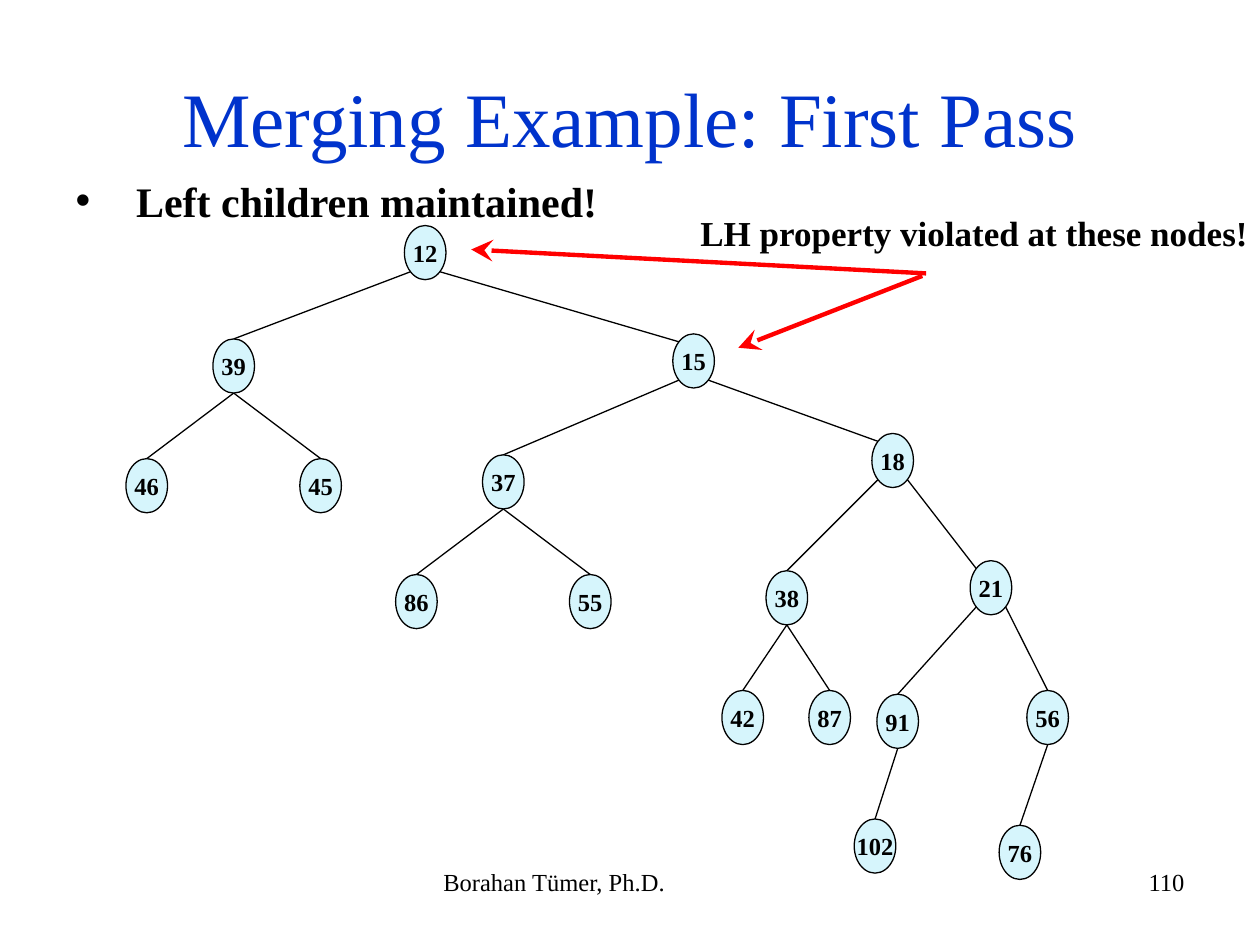
import dataclasses

import lxml.etree
import pptx
import pptx.dml.color
import pptx.enum.shapes
import pptx.enum.text
import pptx.oxml.ns
import pptx.util

UNIT = 9144  # EMU per px, 100 px to the inch
WIDE, TALL = 33, 43  # size of a tree node
ALIGN = pptx.enum.text.PP_ALIGN
NONE = pptx.enum.text.MSO_AUTO_SIZE.NONE
MIDDLE = pptx.enum.text.MSO_ANCHOR.MIDDLE
SLANT = 0.5 ** 0.5

# Places on an ellipse, in radii from its centre
PORTS = {
    "top": (0, -1),
    "base": (0, 1),
    "upper left": (-SLANT, -SLANT),
    "lower left": (-SLANT, SLANT),
    "lower right": (SLANT, SLANT),
}

NODES = {
    12: (321, 179), 39: (169, 269), 46: (100, 364), 45: (238, 364),
    15: (534, 265), 37: (383, 361), 86: (314, 456), 55: (452, 456),
    18: (692, 344), 38: (608, 453), 42: (573, 548), 87: (642, 548),
    21: (770, 445), 91: (696, 551), 102: (678, 650),
    56: (815, 548), 76: (793, 655),
}
SPINE = [12, 15, 18, 21, 56]
LEFT = [(12, 39), (15, 37), (18, 38), (21, 91)]
LOWER = [(39, 46), (39, 45), (37, 86), (37, 55), (38, 42), (38, 87),
         (91, 102), (56, 76)]


@dataclasses.dataclass(frozen=True)
class Theme:
    font: str = "Times New Roman"
    ink: str = "000000"
    head: str = "0033CC"
    node: str = "D6F5FC"
    alert: str = "FF0000"
    title: int = 44
    body: int = 24
    label: int = 20
    small: int = 14
    thin: float = 0.75
    thick: float = 2.5


def px(*nums):
    return [round(num * UNIT) for num in nums]


def rgb(code):
    return pptx.dml.color.RGBColor.from_string(code)


def add(parent, tag, **attrs):
    """Append a DrawingML element with the given attributes."""
    return lxml.etree.SubElement(parent, pptx.oxml.ns.qn(tag), **attrs)


class Board:
    """Draws elements on one slide in one style."""

    def __init__(self, slide, theme):
        self.slide = slide
        self.theme = theme

    def letter(self, shape, text, size, color=None, bold=False,
               align=ALIGN.LEFT, wrap=True):
        """Put one styled paragraph into a shape."""
        frame = shape.text_frame
        frame.word_wrap = wrap
        frame.auto_size = NONE
        para = frame.paragraphs[0]
        para.text = text
        para.alignment = align
        para.space_before = pptx.util.Pt(0)
        font = para.font
        font.name = self.theme.font
        font.size = pptx.util.Pt(size)
        font.bold = bold
        font.color.rgb = rgb(color or self.theme.ink)

    def place(self, shape, box):
        shape.left, shape.top, shape.width, shape.height = px(*box)

    def title(self, text, box):
        shape = self.slide.shapes.title
        self.place(shape, box)
        self.letter(shape, text, self.theme.title, self.theme.head,
                    align=ALIGN.CENTER)
        shape.text_frame.vertical_anchor = MIDDLE

    def bullet(self, text, box, indent):
        shape = self.slide.placeholders[1]
        self.place(shape, box)
        step = px(indent)[0]
        props = shape.text_frame.paragraphs[0]._p.get_or_add_pPr()
        props.set("marL", str(step))
        props.set("indent", str(-step))
        add(add(props, "a:buClr"), "a:srgbClr", val=self.theme.ink)
        add(props, "a:buChar", char="•")
        self.letter(shape, text, self.theme.body, bold=True)

    def text(self, text, box, size, **style):
        shape = self.slide.shapes.add_textbox(*px(*box))
        self.letter(shape, text, size, **style)

    def node(self, key, spot):
        kind = pptx.enum.shapes.MSO_SHAPE.OVAL
        shape = self.slide.shapes.add_shape(kind, *px(*spot, WIDE, TALL))
        shape.shadow.inherit = False
        shape.fill.solid()
        shape.fill.fore_color.rgb = rgb(self.theme.node)
        shape.line.color.rgb = rgb(self.theme.ink)
        shape.line.width = pptx.util.Pt(self.theme.thin)
        self.letter(shape, str(key), self.theme.small, bold=True,
                    align=ALIGN.CENTER, wrap=False)
        shape.text_frame.vertical_anchor = MIDDLE

    def line(self, start, end, color, width):
        kind = pptx.enum.shapes.MSO_CONNECTOR.STRAIGHT
        line = self.slide.shapes.add_connector(kind, *px(*start, *end))
        line.line.color.rgb = rgb(color)
        line.line.width = pptx.util.Pt(width)
        add(line._element.spPr, "a:effectLst")
        return line

    def edge(self, above, below, out, into="top"):
        """Join two nodes of the tree at the named ports."""
        ends = []
        for key, port in ((above, out), (below, into)):
            (left, top), (across, down) = NODES[key], PORTS[port]
            ends.append((left + WIDE / 2 * (1 + across),
                         top + TALL / 2 * (1 + down)))
        self.line(*ends, self.theme.ink, self.theme.thin)

    def arrow(self, start, end):
        line = self.line(start, end, self.theme.alert, self.theme.thick)
        stroke = line._element.spPr.find(pptx.oxml.ns.qn("a:ln"))
        add(stroke, "a:tailEnd", type="stealth", w="lg", len="lg")


def main():
    deck = pptx.Presentation()
    deck.slide_width, deck.slide_height = px(1000, 750)
    theme = Theme()
    board = Board(deck.slides.add_slide(deck.slide_layouts[1]), theme)

    board.title("Merging Example: First Pass", (50, 30, 900, 125))
    board.bullet("Left children maintained!", (50, 134, 884, 50), 48)
    board.text("Borahan Tümer, Ph.D.", (342, 683, 317, 52), theme.small)
    board.text("110", (717, 683, 233, 52), theme.small, align=ALIGN.RIGHT)

    for key, spot in NODES.items():
        board.node(key, spot)
    for above, below in zip(SPINE, SPINE[1:]):
        into = "top" if below == SPINE[-1] else "upper left"
        board.edge(above, below, "lower right", into)
    for above, below in LEFT:
        board.edge(above, below, "lower left")
    for above, below in LOWER:
        board.edge(above, below, "base")

    board.text("LH property violated at these nodes!", (546, 163, 455, 44),
               theme.label, bold=True, wrap=False)
    board.arrow((732, 219), (586, 276))
    board.arrow((735, 217), (374, 198))
    deck.save("out.pptx")


if __name__ == "__main__":
    main()
